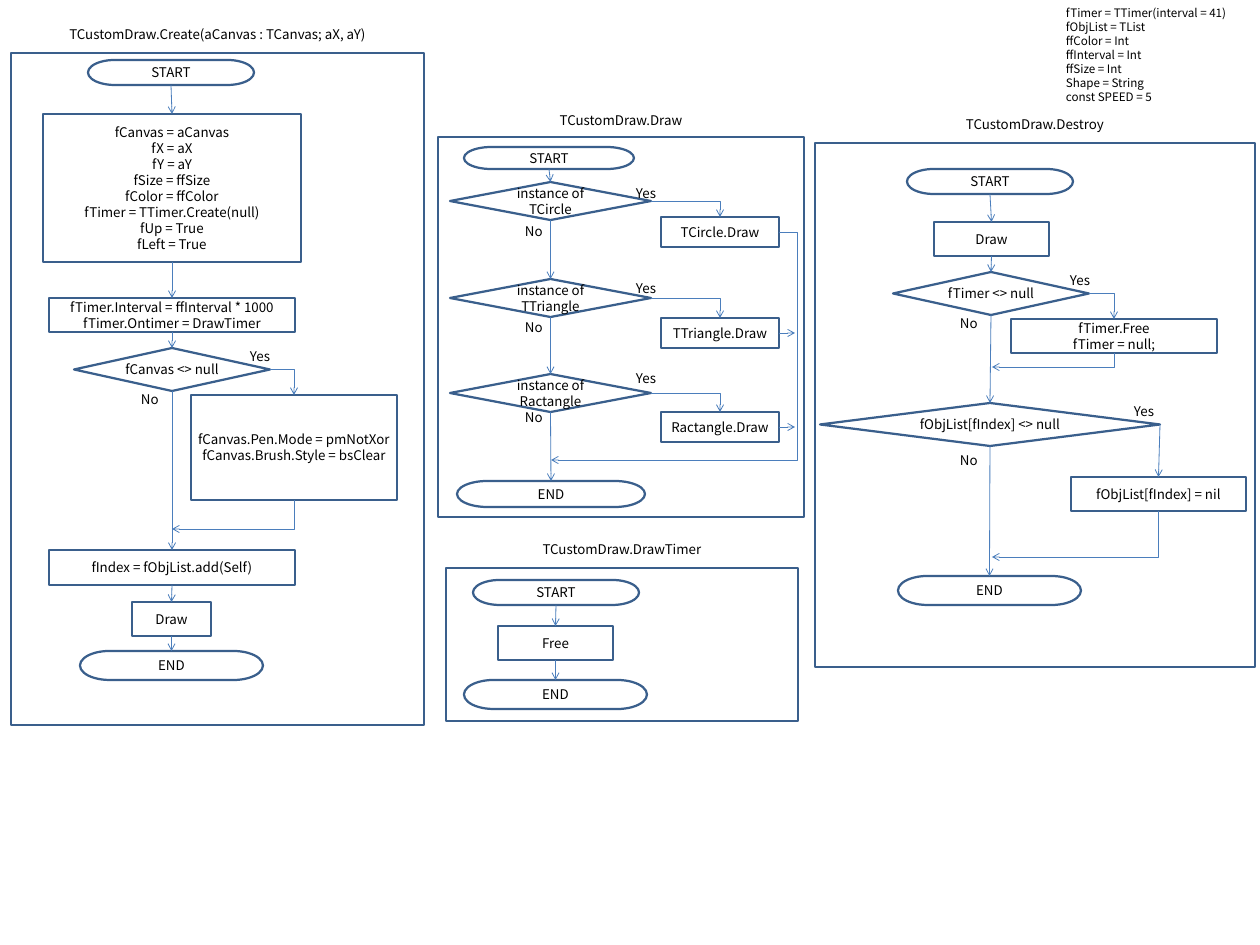
import dataclasses

import lxml.etree
import pptx
import pptx.dml.color
import pptx.enum.shapes
import pptx.enum.text
import pptx.oxml.ns
import pptx.util

PIXEL = 914400 // 80
FONT = "Noto Sans CJK KR"
COLORS = {"outline": "3A5F8C", "arrow": "4B7EBC", "text": "000000"}

SHAPE = pptx.enum.shapes.MSO_SHAPE
BOX, TERMINATOR, DECISION = SHAPE.RECTANGLE, SHAPE.FLOWCHART_TERMINATOR, SHAPE.FLOWCHART_DECISION
STRAIGHT = pptx.enum.shapes.MSO_CONNECTOR.STRAIGHT
ELBOW = pptx.enum.shapes.MSO_CONNECTOR.ELBOW
ALIGN = pptx.enum.text.PP_ALIGN
ANCHOR = pptx.enum.text.MSO_ANCHOR
TOP, BOTTOM, RIGHT = 0, 2, 3  # connection sites


@dataclasses.dataclass
class Panel:
    heading: str
    left: int
    top: int
    width: int
    height: int
    heading_height: int = 34


@dataclasses.dataclass
class Step:
    key: str
    kind: int
    left: int
    top: int
    width: int
    height: int
    text: str


PANELS = [
    Panel("TCustomDraw.Create(aCanvas : TCanvas; aX, aY)", 11, 53, 413, 672),
    Panel("TCustomDraw.Destroy", 815, 143, 440, 524),
    Panel("TCustomDraw.Draw", 438, 137, 366, 380, 30),
    Panel("TCustomDraw.DrawTimer", 446, 568, 352, 153),
]

STEPS = [
    # Create
    Step("create start", TERMINATOR, 88, 60, 166, 25, "START"),
    Step("create fields", BOX, 43, 114, 258, 148,
         "fCanvas = aCanvas\nfX = aX\nfY = aY\nfSize = ffSize\nfColor = ffColor\n"
         "fTimer = TTimer.Create(null)\nfUp = True\nfLeft = True"),
    Step("create timer", BOX, 49, 298, 246, 34,
         "fTimer.Interval = ffInterval * 1000\nfTimer.Ontimer = DrawTimer"),
    Step("canvas test", DECISION, 74, 348, 196, 43, "fCanvas <> null"),
    Step("canvas style", BOX, 191, 395, 206, 105,
         "fCanvas.Pen.Mode = pmNotXor\nfCanvas.Brush.Style = bsClear"),
    Step("create index", BOX, 49, 550, 246, 35, "fIndex = fObjList.add(Self)"),
    Step("create draw", BOX, 132, 602, 79, 34, "Draw"),
    Step("create end", TERMINATOR, 80, 651, 183, 29, "END"),
    # Destroy
    Step("destroy start", TERMINATOR, 907, 169, 166, 25, "START"),
    Step("destroy draw", BOX, 934, 222, 115, 34, "Draw"),
    Step("timer test", DECISION, 893, 272, 196, 43, "fTimer <> null"),
    Step("timer free", BOX, 1011, 319, 206, 34, "fTimer.Free\nfTimer = null;"),
    Step("list test", DECISION, 820, 403, 340, 43, "fObjList[fIndex] <> null"),
    Step("list clear", BOX, 1071, 477, 175, 34, "fObjList[fIndex] = nil"),
    Step("destroy end", TERMINATOR, 898, 576, 183, 29, "END"),
    # Draw
    Step("draw start", TERMINATOR, 464, 147, 170, 22, "START"),
    Step("draw end", TERMINATOR, 457, 481, 188, 26, "END"),
    # DrawTimer
    Step("tick start", TERMINATOR, 473, 580, 166, 25, "START"),
    Step("tick free", BOX, 498, 626, 115, 34, "Free"),
    Step("tick end", TERMINATOR, 464, 680, 183, 29, "END"),
]
FIGURES = [("Circle", 182, 217), ("Triangle", 279, 318), ("Ractangle", 374, 412)]
for figure, test_top, draw_top in FIGURES:
    name = figure if figure == "Ractangle" else "T" + figure
    STEPS += [
        Step(f"{figure} test", DECISION, 450, test_top, 201, 38, f"instance of {name}"),
        Step(f"{figure} draw", BOX, 661, draw_top, 118, 30, f"{name}.Draw"),
    ]

# Steps that follow each other downwards
FLOWS = [
    ["create start", "create fields", "create timer", "canvas test",
     "create index", "create draw", "create end"],
    ["destroy start", "destroy draw", "timer test", "list test", "destroy end"],
    ["draw start", *[f"{figure} test" for figure, _, _ in FIGURES], "draw end"],
    ["tick start", "tick free", "tick end"],
]
YES_BRANCHES = [("canvas test", "canvas style"), ("timer test", "timer free"),
                *[(f"{figure} test", f"{figure} draw") for figure, _, _ in FIGURES]]
# Branch step and the point where it rejoins the main flow
MERGES = [("canvas style", 172, 529), ("timer free", 992, 367), ("list clear", 992, 557)]
ANSWERS = {
    "Yes": [(250, 348), (1070, 272), (1134, 403), (636, 185), (636, 280), (636, 370)],
    "No": [(141, 391), (960, 315), (960, 452), (525, 223), (525, 319), (525, 409)],
}
VARIABLES = ("fTimer = TTimer(interval = 41)\nfObjList = TList\nffColor = Int\n"
             "ffInterval = Int\nffSize = Int\nShape = String\nconst SPEED = 5")

deck = pptx.Presentation()
deck.slide_width, deck.slide_height = 1260 * PIXEL, 945 * PIXEL
slide = deck.slides.add_slide(deck.slide_layouts[6])


def color(name: str) -> pptx.dml.color.RGBColor:
    return pptx.dml.color.RGBColor.from_string(COLORS[name])


def write(shape, text: str, size: float = 12, align=ALIGN.CENTER,
          anchor=ANCHOR.MIDDLE, wrap: bool = True) -> None:
    frame = shape.text_frame
    frame.margin_left = frame.margin_right = frame.margin_top = frame.margin_bottom = 0
    frame.word_wrap, frame.vertical_anchor = wrap, anchor
    frame.text = text
    for paragraph in frame.paragraphs:
        paragraph.alignment = align
        paragraph.line_spacing = pptx.util.Pt(size * 1.2)
        paragraph.font.name, paragraph.font.size = FONT, pptx.util.Pt(size)
        paragraph.font.color.rgb = color("text")


def add_label(text: str, left: int, top: int, width: int, height: int, **style) -> None:
    box = slide.shapes.add_textbox(*[n * PIXEL for n in (left, top, width, height)])
    write(box, text, **style)


def add_outline(kind: int, left: int, top: int, width: int, height: int):
    shape = slide.shapes.add_shape(kind, *[n * PIXEL for n in (left, top, width, height)])
    shape.shadow.inherit = False
    shape.fill.background()
    shape.line.color.rgb, shape.line.width = color("outline"), pptx.util.Pt(2)
    return shape


def add_arrow(start: tuple, end: tuple, kind=STRAIGHT, preset: str = "",
              bend: int = 0, arrow_end: str = "tailEnd"):
    connector = slide.shapes.add_connector(kind, *[round(n * PIXEL) for n in (*start, *end)])
    connector.line.color.rgb, connector.line.width = color("arrow"), pptx.util.Pt(0.75)
    qn = pptx.oxml.ns.qn
    properties = connector.element.spPr
    head = lxml.etree.SubElement(properties.find(qn("a:ln")), qn(f"a:{arrow_end}"))
    head.set("type", "arrow")
    lxml.etree.SubElement(properties, qn("a:effectLst"))
    geometry = properties.find(qn("a:prstGeom"))
    if preset:
        geometry.set("prst", preset)
    if bend:
        guide = lxml.etree.SubElement(geometry.find(qn("a:avLst")), qn("a:gd"))
        guide.set("name", "adj1")
        guide.set("fmla", f"val {bend}")
    return connector


def link(source: str, source_site: int, target: str, **style) -> None:
    arrow = add_arrow((0, 0), (1, 1), **style)
    arrow.begin_connect(drawn[source], source_site)
    arrow.end_connect(drawn[target], TOP)


# Panels with their headings
for panel in PANELS:
    add_outline(BOX, panel.left, panel.top, panel.width, panel.height)
    add_label(panel.heading, panel.left, panel.top - 2 - panel.heading_height,
              panel.width, panel.heading_height)

# Steps
steps = {step.key: step for step in STEPS}
drawn = {}
for step in STEPS:
    drawn[step.key] = add_outline(step.kind, step.left, step.top, step.width, step.height)
    write(drawn[step.key], step.text)

# Main flows and branches
for flow in FLOWS:
    for source, target in zip(flow, flow[1:]):
        link(source, BOTTOM, target)
for test, branch in YES_BRANCHES:
    link(test, RIGHT, branch, kind=ELBOW, preset="bentConnector2")
link("list test", RIGHT, "list clear")

# Returns to the main flow
for key, x, y in MERGES:
    step = steps[key]
    add_arrow((x, y), (step.left + step.width / 2, step.top + step.height),
              ELBOW, "bentConnector2", arrow_end="headEnd")
add_arrow((779, 232), (551, 460), ELBOW, bend=-8000)
for figure, _, draw_top in FIGURES[1:]:
    middle = draw_top + 15
    add_arrow((779, middle), (795, middle))

# Answers and the list of variables
for answer, places in ANSWERS.items():
    for left, top in places:
        add_label(answer, left, top, 24, 16, align=ALIGN.LEFT, anchor=ANCHOR.TOP, wrap=False)
add_label(VARIABLES, 1066, 6, 194, 99, size=10.5, align=ALIGN.LEFT, anchor=ANCHOR.TOP)

deck.save("out.pptx")
